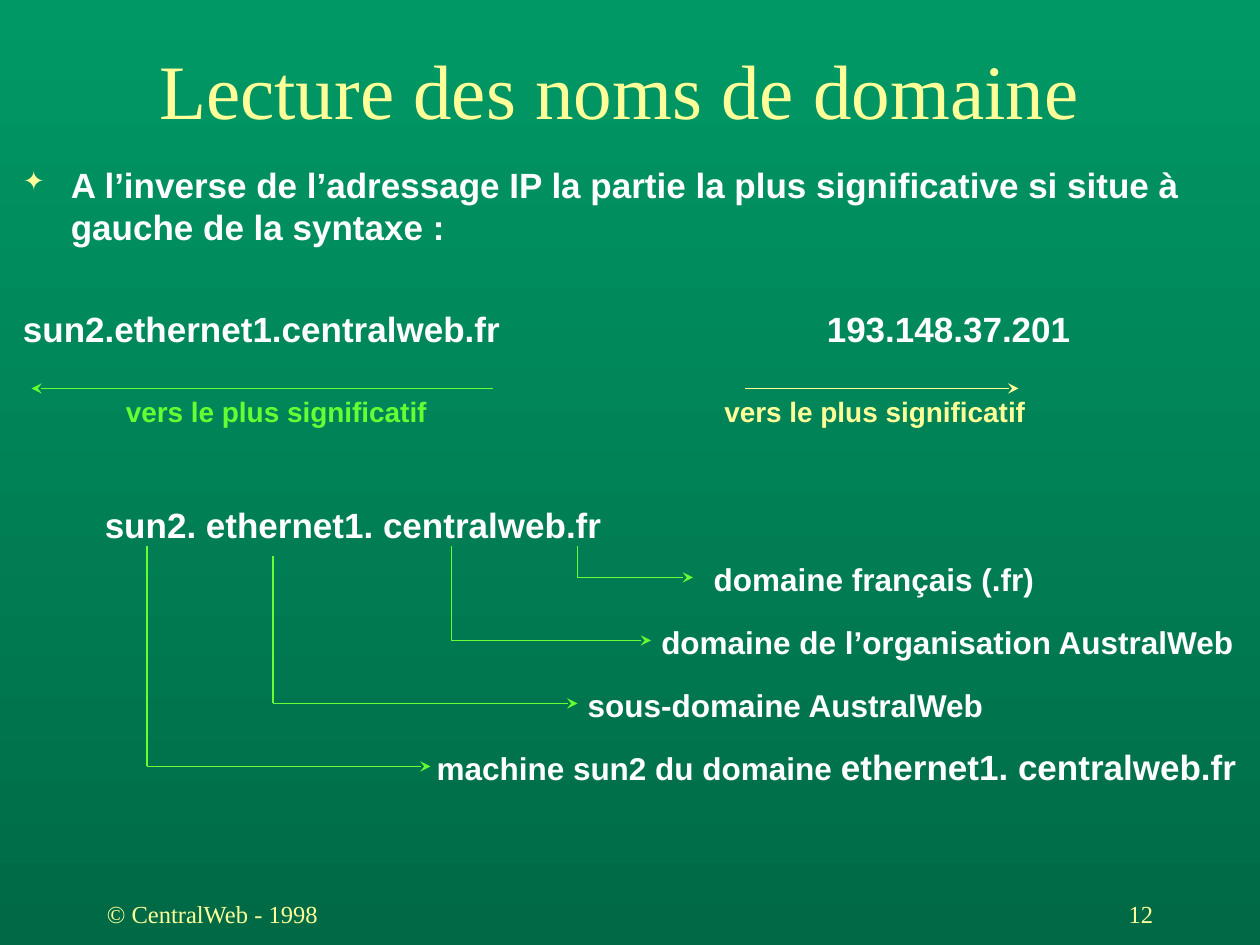
"""Build the slide on reading domain names."""
from dataclasses import dataclass

from lxml import etree
from pptx import Presentation
from pptx import util as u
from pptx.dml.color import RGBColor
from pptx.enum import shapes, text
from pptx.oxml.ns import qn

COLUMNS, ROWS = 120, 90
CELL = u.Inches(10) // COLUMNS
WHITE, YELLOW, GREEN = "FFFFFF", "FFFF99", "66FF33"
SANS, SERIF = "Arial", "Times New Roman"


@dataclass(frozen=True)
class Style:
    """Look of a paragraph."""
    size: int
    color: str = WHITE
    font: str = SANS
    bold: bool = True
    align: text.PP_ALIGN = text.PP_ALIGN.LEFT


@dataclass(frozen=True)
class Caption:
    """Text placed on the grid."""
    words: str
    column: float
    row: float
    width: float
    height: float
    style: Style
    wrap: bool = False
    middle: bool = False


@dataclass(frozen=True)
class Direction:
    """Arrow toward the most significant part, with its caption column."""
    start: int
    end: int
    caption_column: float
    color: str
    arrow_end: str


@dataclass(frozen=True)
class Branch:
    """Elbow from one part of the name to its explanation."""
    column: int
    top: int
    row: int
    tip: int
    words: str
    label_column: float
    width: float
    address: str = ""


DIRECTIONS = [
    Direction(3, 47, 10.8, GREEN, "headEnd"),
    Direction(71, 97, 67.8, YELLOW, "tailEnd"),
]
BRANCHES = [
    Branch(55, 52, 55, 66, "domaine français (.fr)", 66.8, 32.9),
    Branch(43, 52, 61, 62, "domaine de l’organisation AustralWeb", 61.8, 57.1),
    Branch(26, 53, 67, 55, "sous-domaine AustralWeb", 54.8, 40.3),
    Branch(14, 52, 73, 41, "machine sun2 du domaine ", 40.4, 79.6, "ethernet1. centralweb.fr"),
]
FOOTER = Style(14, YELLOW, SERIF, False)
CAPTIONS = [
    Caption("Lecture des noms de domaine", 8, 2.8, 102, 11.3,
            Style(44, YELLOW, SERIF, False, text.PP_ALIGN.CENTER), True, True),
    Caption("sun2. ethernet1. centralweb.fr", 8.8, 47.4, 50.6, 5.2, Style(20)),
    Caption("© CentralWeb - 1998", 9, 84, 25, 6, FOOTER, True, True),
    Caption("12", 86, 84, 25, 6,
            Style(14, YELLOW, SERIF, False, text.PP_ALIGN.RIGHT), True, True),
]


def grid(cells: float) -> u.Emu:
    """Turn grid cells into a length."""
    return u.Emu(round(cells * CELL))


def rgb(value: str) -> RGBColor:
    """Turn a hex string into a colour."""
    return RGBColor.from_string(value)


def apply_style(paragraph, style: Style) -> None:
    """Set the font and alignment of a paragraph."""
    paragraph.alignment = style.align
    font = paragraph.font
    font.name, font.size, font.bold = style.font, u.Pt(style.size), style.bold
    font.color.rgb = rgb(style.color)


def add_caption(slide, caption: Caption):
    """Add a text box and return its first paragraph."""
    box = slide.shapes.add_textbox(*map(grid, (caption.column, caption.row,
                                               caption.width, caption.height)))
    frame = box.text_frame
    frame.word_wrap = caption.wrap
    if caption.middle:
        frame.vertical_anchor = text.MSO_ANCHOR.MIDDLE
    paragraph = frame.paragraphs[0]
    paragraph.add_run().text = caption.words
    apply_style(paragraph, caption.style)
    return paragraph


def add_line(slide, start: tuple[int, int], end: tuple[int, int],
             color: str, arrow_end: str = "") -> None:
    """Draw a line between two grid points, with an optional arrowhead."""
    line = slide.shapes.add_connector(shapes.MSO_CONNECTOR.STRAIGHT,
                                      *map(grid, start + end))
    line.line.color.rgb = rgb(color)
    line.line.width = u.Pt(1)
    if arrow_end:
        etree.SubElement(line.line._get_or_add_ln(), qn(f"a:{arrow_end}"), type="stealth")
    etree.SubElement(line._element.spPr, qn("a:effectLst"))


def add_statement(slide) -> None:
    """Add the bulleted rule and the two sample addresses."""
    style = Style(20)
    rule = add_caption(slide, Caption(
        "A l’inverse de l’adressage IP la partie la plus significative si situe à "
        "gauche de la syntaxe :", 1, 15, 117, 19, style, True))
    properties = rule._p.get_or_add_pPr()
    properties.set("marL", str(u.Inches(0.38)))
    properties.set("indent", str(-u.Inches(0.38)))
    bullet_color = etree.Element(qn("a:buClr"))
    etree.SubElement(bullet_color, qn("a:srgbClr"), val=YELLOW)
    bullet_size = etree.Element(qn("a:buSzPct"), val="75000")
    bullet = etree.Element(qn("a:buChar"), char="✦")
    for position, element in enumerate((bullet_color, bullet_size, bullet)):
        properties.insert(position, element)

    samples = rule._parent.add_paragraph()
    samples.add_run().text = "sun2.ethernet1.centralweb.fr\t193.148.37.201"
    samples.space_before = u.Pt(34)
    tabs = etree.SubElement(samples._p.get_or_add_pPr(), qn("a:tabLst"))
    etree.SubElement(tabs, qn("a:tab"), pos=str(u.Inches(6.38)), algn="l")
    apply_style(samples, style)


def add_branch(slide, branch: Branch) -> None:
    """Draw an elbow arrow and its explanation."""
    corner = (branch.column, branch.row)
    add_line(slide, (branch.column, branch.top), corner, GREEN)
    add_line(slide, corner, (branch.tip, branch.row), GREEN, "tailEnd")
    rise = 2.6 if branch.address else 2.3
    label = add_caption(slide, Caption(branch.words, branch.label_column,
                                       branch.row - rise, branch.width, 4.8, Style(18)))
    if branch.address:
        address = label.add_run()
        address.text = branch.address
        address.font.size = u.Pt(20)


def main() -> None:
    """Build and save the slide."""
    deck = Presentation()
    deck.slide_width, deck.slide_height = grid(COLUMNS), grid(ROWS)
    slide = deck.slides.add_slide(deck.slide_layouts[6])
    backdrop = slide.background.fill
    backdrop.gradient()
    backdrop.gradient_angle = 270
    for stop, color in zip(backdrop.gradient_stops, ("009966", "006A46")):
        stop.color.rgb = rgb(color)

    for caption in CAPTIONS:
        add_caption(slide, caption)
    add_statement(slide)
    for way in DIRECTIONS:
        add_line(slide, (way.start, 37), (way.end, 37), way.color, way.arrow_end)
        add_caption(slide, Caption("vers le plus significatif", way.caption_column, 37,
                                   31.1, 4.4, Style(16, way.color)))
    for branch in BRANCHES:
        add_branch(slide, branch)
    deck.save("out.pptx")


if __name__ == "__main__":
    main()
